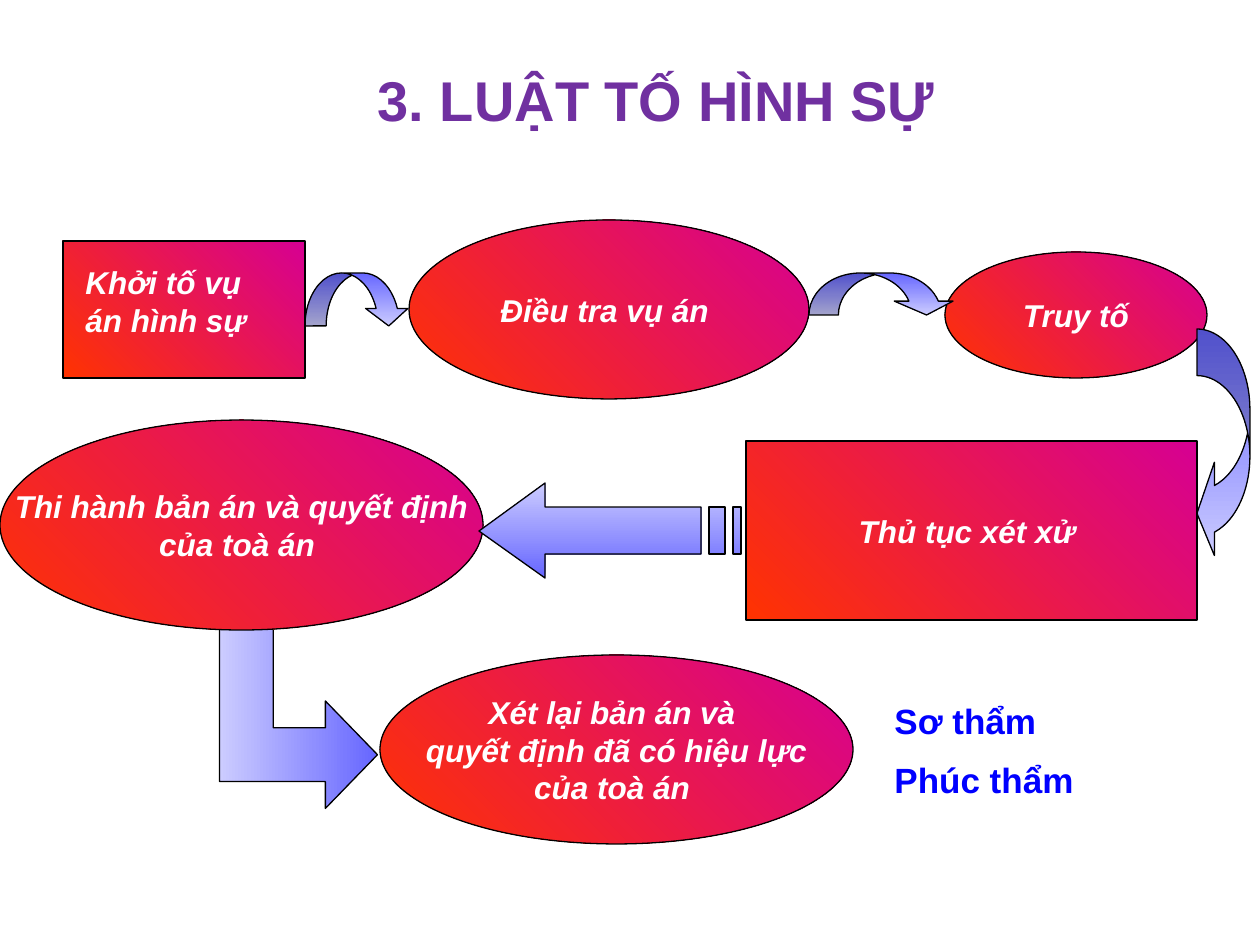
from pptx import Presentation
from pptx.dml.color import RGBColor
from pptx.enum.shapes import MSO_SHAPE
from pptx.enum.text import MSO_ANCHOR, PP_ALIGN
from pptx.util import Pt

RECT, OVAL = MSO_SHAPE.RECTANGLE, MSO_SHAPE.OVAL
DOWN, LEFT = MSO_SHAPE.CURVED_DOWN_ARROW, MSO_SHAPE.CURVED_LEFT_ARROW
BENT = MSO_SHAPE.BENT_UP_ARROW
MID, TOP = MSO_ANCHOR.MIDDLE, MSO_ANCHOR.TOP
CENTER, START = PP_ALIGN.CENTER, PP_ALIGN.LEFT
PX = 914400 / 126
RED = ("FF3300", "D60093", 45)
BLUE = ("6666FF", "CCCCFF", 270)
hue = RGBColor.from_string


def paint(shape, look):
    first, last, angle = look
    shape.shadow.inherit = False
    shape.fill.gradient()
    shape.fill.gradient_angle = angle
    for stop, color in zip(shape.fill.gradient_stops, (first, last)):
        stop.color.rgb = hue(color)
    for stop, place in zip(shape.fill.gradient_stops, (0, 1)):
        stop.position = place
    shape.line.color.rgb = hue("000000")
    shape.line.width = Pt(0.75)


def write(shape, lines, size, color, italic, align, wrap):
    frame = shape.text_frame
    frame.word_wrap = wrap
    frame.vertical_anchor = TOP if wrap else MID
    for i, line in enumerate(lines):
        para = frame.add_paragraph() if i else frame.paragraphs[0]
        para.text = line
        para.alignment = align
        if wrap and i:
            para.space_before = Pt(size / 2)
        font = para.font
        font.name, font.size = "Arial", Pt(size)
        font.bold, font.italic = True, italic
        font.color.rgb = hue(color)


deck = Presentation()
deck.slide_width, deck.slide_height = int(1260 * PX), int(945 * PX)
slide = deck.slides.add_slide(deck.slide_layouts[5])
shapes = slide.shapes

# Title
title = shapes.title
title.left, title.top, title.width, title.height = [
    int(n * PX) for n in (126, 31, 1061, 136)]
write(title, ["3. LUẬT TỐ HÌNH SỰ"], 32, "7030A0", False, CENTER, False)

# Steps and arrows, back to front: kind, box, text lines or adjustments, turn
parts = [
    (OVAL, (945, 252, 262, 126), ["Truy tố"], 0),
    (OVAL, (409, 220, 400, 179), ["Điều tra vụ án "], 0),
    (LEFT, (1197, 329, 53, 231), [0.88, 1.76, 0.33], 0),
    (DOWN, (305, 273, 105, 53), [0.4, 0.8, 0.33], 0),
    (DOWN, (809, 273, 147, 42), [0.7, 1.4, 0.33], 0),
    (RECT, (746, 441, 451, 179), ["Thủ tục xét xử "], 0),
    (BENT, (204, 635, 189, 158), [0.34, 0.34, 0.33], 90),
    (OVAL, (0, 420, 483, 210),
     ["Thi hành bản án và quyết định", "của toà án "], 0),
    (OVAL, (380, 655, 473, 189),
     ["Xét lại bản án và ", "quyết định đã có hiệu lực", "của toà án "], 0),
]
for kind, box, data, turn in parts:
    shape = shapes.add_shape(kind, *[int(n * PX) for n in box])
    shape.rotation = turn
    if kind in (RECT, OVAL):
        paint(shape, RED)
        write(shape, data, 18, "FFFFFF", True, CENTER, False)
    else:
        paint(shape, BLUE)
        for i, value in enumerate(data):
            shape.adjustments[i] = value

# Striped arrow, drawn pointing right and then turned to the left
outlines = [
    [(741, 483), (741, 507), (585, 507), (585, 554),
     (741, 554), (741, 578), (807, 530)],
    [(561, 507), (577, 507), (577, 554), (561, 554)],
    [(545, 507), (553, 507), (553, 554), (545, 554)],
]
pen = shapes.build_freeform(*outlines[0][0], scale=PX)
for i, dots in enumerate(outlines):
    if i:
        pen.move_to(*dots[0])
    pen.add_line_segments(dots[1:], close=True)
# The turned arrow spans 479 to 741 px
arrow = pen.convert_to_shape()
arrow.left = int(479 * PX)
arrow.rotation = 180
paint(arrow, BLUE)

# First step: a box with its caption
group = shapes.add_group_shape()
start = group.shapes.add_shape(RECT, *[int(n * PX) for n in (63, 241, 242, 137)])
paint(start, RED)
note = group.shapes.add_textbox(*[int(n * PX) for n in (73, 257, 221, 88)])
write(note, ["Khởi tố vụ án hình sự"], 18, "FFFFFF", True, START, True)

# Trial levels
levels = shapes.add_textbox(*[int(n * PX) for n in (882, 693, 284, 117)])
write(levels, ["Sơ thẩm", "Phúc thẩm"], 20, "0000FF", False, START, True)

deck.save("out.pptx")
